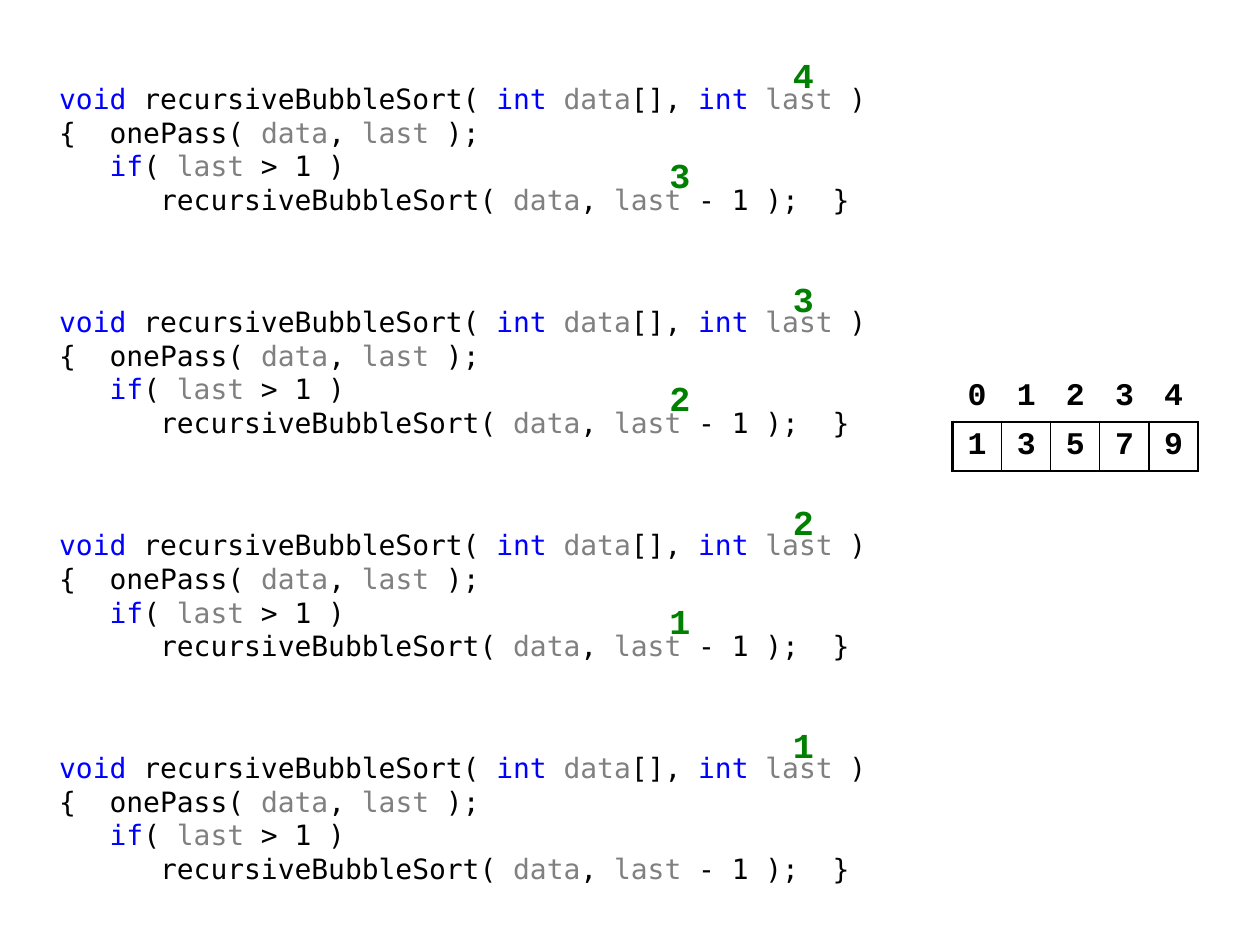
from lxml.etree import SubElement as Sub
from pptx import Presentation as Deck
from pptx.dml.color import RGBColor as Rgb
from pptx.enum.text import MSO_ANCHOR as Anchor, PP_ALIGN as Align
from pptx.oxml.ns import qn
from pptx.util import Inches, Pt

BLACK, BLUE, GRAY, GREEN, WHITE = "000000", "0000FF", "808080", "008000", "FFFFFF"
UNIT = 0.39
CODE = [
    [("void ", BLUE), ("recursiveBubbleSort( ", BLACK), ("int ", BLUE), ("data", GRAY),
     ("[], ", BLACK), ("int ", BLUE), ("last", GRAY), (" )", BLACK)],
    [("{  onePass( ", BLACK), ("data", GRAY), (", ", BLACK), ("last", GRAY), (" );", BLACK)],
    [("   ", BLACK), ("if", BLUE), ("( ", BLACK), ("last", GRAY), (" > 1 )", BLACK)],
    [("      recursiveBubbleSort( ", BLACK), ("data", GRAY), (", ", BLACK), ("last", GRAY),
     (" - 1 );  }", BLACK)],
]


def paint(color):
    """Turn a hex string into a colour."""
    return Rgb.from_string(color)


def add_run(para, text, size, face, color, bold=False):
    """Add one formatted run to a paragraph."""
    run = para.add_run()
    run.text = text
    font = run.font
    font.size, font.name, font.bold = Pt(size), face, bold
    font.color.rgb = paint(color)


def add_box(slide, left, top, width, height, pads, wrap):
    """Add a text box with the given insets and return its frame."""
    box = slide.shapes.add_textbox(*map(Inches, (left, top, width, height)))
    frame = box.text_frame
    frame.word_wrap = wrap
    (frame.margin_left, frame.margin_top,
     frame.margin_right, frame.margin_bottom) = map(Inches, pads)
    return frame


def add_value(slide, left, top, value):
    """Write the current value of a variable above the code."""
    frame = add_box(slide, left, top, UNIT, UNIT, (0.04, 0, 0.04, 0), False)
    frame.vertical_anchor = Anchor.MIDDLE
    para = frame.paragraphs[0]
    para.alignment = Align.CENTER
    add_run(para, str(value), 20, "Courier New", GREEN, True)


def add_call(slide, left, top, last):
    """Write one recursive call with its argument values."""
    frame = add_box(slide, left, top, 6.69, 1.18, (0, 0.05, 0.1, 0.05), True)
    for row, line in enumerate(CODE):
        para = frame.add_paragraph() if row else frame.paragraphs[0]
        for text, color in line:
            add_run(para, text, 16, "DejaVu Sans Mono", color)
    add_value(slide, left + 5.71, top - 0.2, last)
    if last > 1:
        add_value(slide, left + 4.73, top + 0.59, last - 1)


def add_edge(cell, side, width):
    """Draw one black border of a cell."""
    edge = Sub(cell._tc.get_or_add_tcPr(), qn("a:" + side), w=str(Pt(width)))
    fill = Sub(edge, qn("a:solidFill"))
    Sub(fill, qn("a:srgbClr"), val=BLACK)


def add_array(slide, left, top, data):
    """Draw the array as a table of indexes over values."""
    count = len(data)
    table = slide.shapes.add_table(
        2, count, *map(Inches, (left, top, count * UNIT, 2 * UNIT))).table
    table.first_row = table.horz_banding = False
    for part in table.columns:
        part.width = Inches(UNIT)
    for row, items in enumerate((range(count), data)):
        table.rows[row].height = Inches(UNIT)
        for col, item in enumerate(items):
            cell = table.cell(row, col)
            cell.vertical_anchor = Anchor.MIDDLE
            cell.margin_left = cell.margin_right = Inches(0.08)
            cell.margin_top = cell.margin_bottom = Inches(0.04)
            para = cell.text_frame.paragraphs[0]
            para.alignment = Align.CENTER
            add_run(para, str(item), 18, "Courier New", BLACK, True)
            if row:
                add_edge(cell, "lnL", 0.75 if col else 1.5)
                add_edge(cell, "lnR", 0.75 if col < count - 1 else 1.5)
                add_edge(cell, "lnT", 1.5)
            add_edge(cell, "lnB", 1.5)
            if row and col:
                cell.fill.solid()
                cell.fill.fore_color.rgb = paint(WHITE)
            else:
                cell.fill.background()


def main():
    """Build the slide and save it."""
    deck = Deck()
    deck.slide_width, deck.slide_height = Inches(10), Inches(7.5)
    slide = deck.slides.add_slide(deck.slide_layouts[6])
    for step, last in enumerate((4, 3, 2, 1)):
        add_call(slide, 0.47, 0.6 + 1.77 * step, last)
    add_array(slide, 7.56, 2.96, (1, 3, 5, 7, 9))
    deck.save("out.pptx")


if __name__ == "__main__":
    main()
